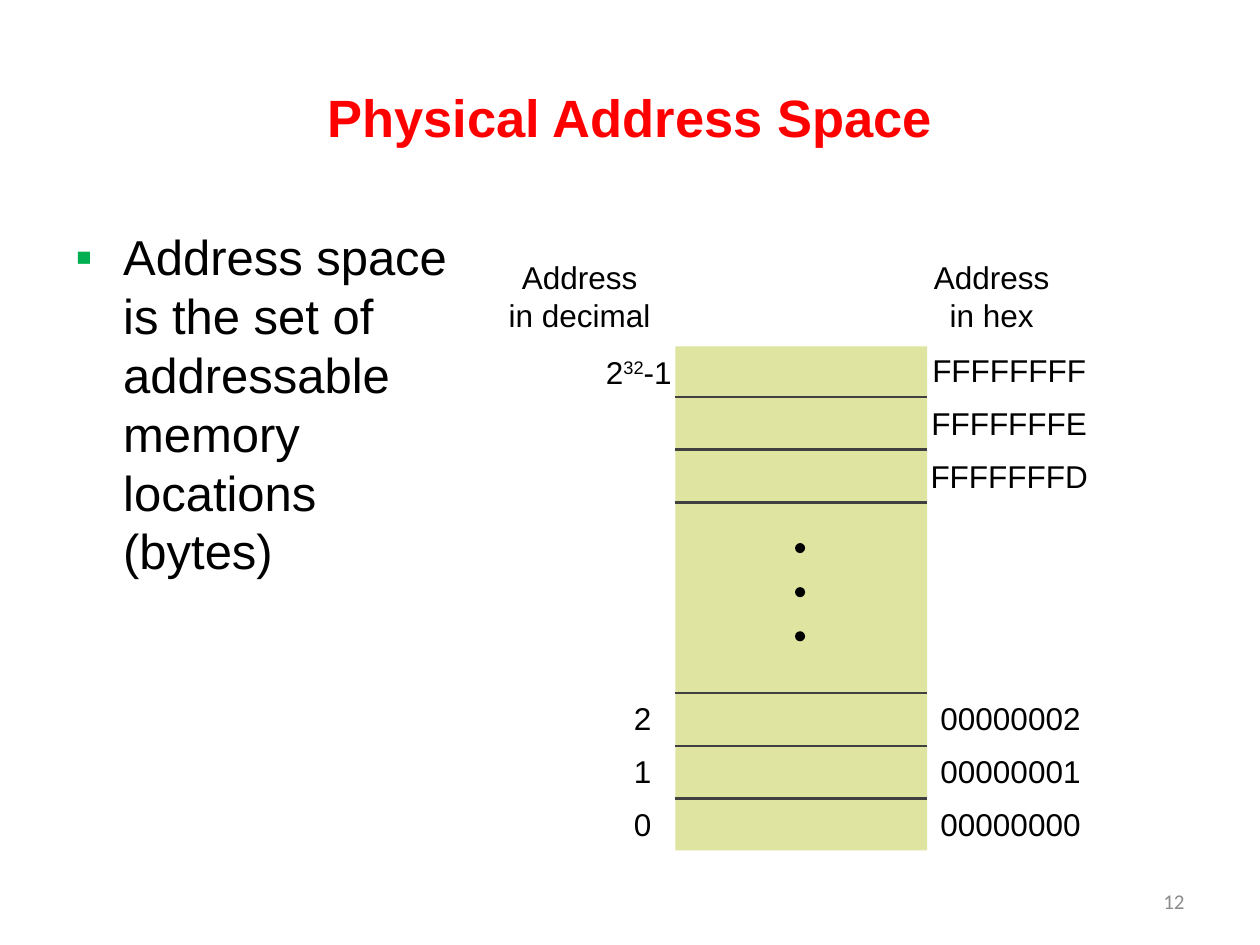
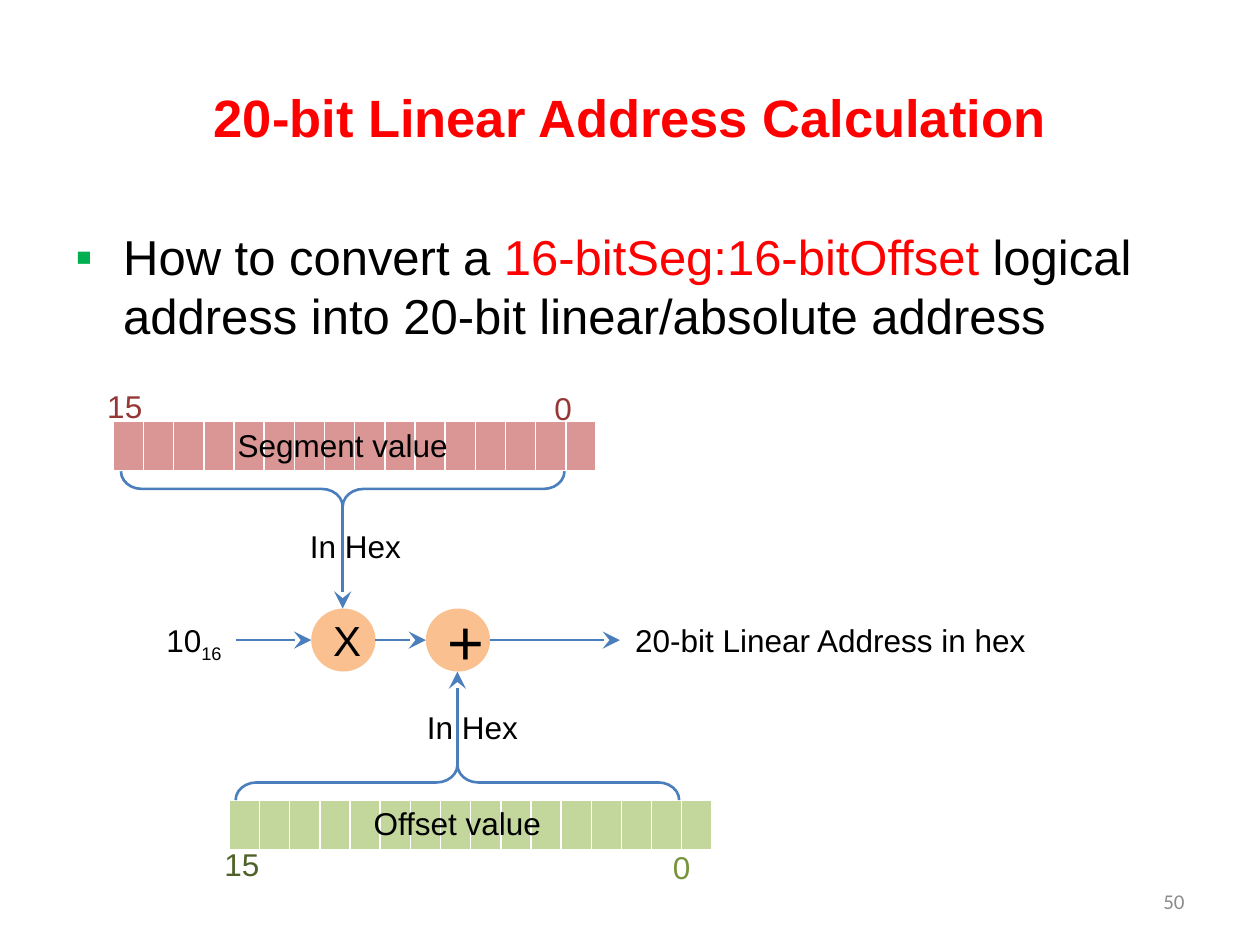
from collections import namedtuple

from lxml.etree import SubElement
from pptx import Presentation
from pptx.dml.color import RGBColor
from pptx.enum.shapes import MSO_CONNECTOR, MSO_SHAPE as SHAPE
from pptx.enum.text import MSO_ANCHOR as ANCHOR, MSO_AUTO_SIZE as AUTO, PP_ALIGN as ALIGN
from pptx.oxml.ns import qn
from pptx.util import Inches, Pt

# Shared colours and measures
WIDTH, HEIGHT = 10, 7.5
MARGIN = 0.05 * WIDTH
BLACK = RGBColor(0x00, 0x00, 0x00)
WHITE = RGBColor(0xFF, 0xFF, 0xFF)
RED = RGBColor(0xFF, 0x00, 0x00)
BULLET_GREEN = RGBColor(0x00, 0xB0, 0x50)
GREY = RGBColor(0x8C, 0x8C, 0x8C)
MEMORY_FILL = RGBColor(0xDF, 0xE4, 0xA0)
CELL_LINE = RGBColor(0x40, 0x40, 0x40)
BLUE = RGBColor(0x4B, 0x7E, 0xBC)
PEACH = RGBColor(0xFA, 0xC0, 0x90)
ROSE = RGBColor(0xD9, 0x96, 0x94)
DARK_ROSE = RGBColor(0x95, 0x37, 0x35)
OLIVE = RGBColor(0xC3, 0xD6, 0x9B)
MID_OLIVE = RGBColor(0x77, 0x93, 0x3C)
DARK_OLIVE = RGBColor(0x4F, 0x62, 0x28)

Run = namedtuple("Run", "text color baseline", defaults=(BLACK, 0))

# Slide 1 content
SPACE = {
    "title": "Physical Address Space",
    "number": "12",
    "body": [Run("Address space is the set of addressable memory locations (bytes)")],
    "body_size": (3.17, 4.95),
}
HEADINGS = [  # centre, width, lines
    (4.6, 1.34, ["Address", "in decimal"]),
    (7.87, 1.14, ["Address", "in hex"]),
]
TOP_HEX = ["FFFFFFFF", "FFFFFFFE", "FFFFFFFD"]
BOTTOM_HEX = ["00000002", "00000001", "00000000"]
BOTTOM_DECIMAL = ["2", "1", "0"]
LAST_DECIMAL = [Run("2"), Run("32", baseline=30), Run("-1")]

# Slide 2 content
LINEAR = {
    "title": "20-bit Linear Address Calculation",
    "number": "50",
    "body": [
        Run("How to convert a "),
        Run("16-bitSeg:16-bitOffset", RED),
        Run(" logical address into 20-bit linear/absolute address"),
    ],
    "body_size": (9, 1.08),
}
BITS = 16
REGISTERS = [  # left, top, fill
    (0.9, 3.34, ROSE),
    (1.82, 6.35, OLIVE),
]
OPERATORS = [("X", 2.72, 24), ("+", 3.63, 36)]  # sign, centre, size
BRACES = [(2.72, 3.88, 270), (3.63, 6.21, 90)]  # centre x, centre y, turn
AXIS = 5.08
ARROWS = [
    (2.72, 4.02, 2.72, 4.83),
    (3.63, 6.07, 3.63, 5.33),
    (1.87, AXIS, 2.47, AXIS),
    (2.98, AXIS, 3.38, AXIS),
    (3.89, AXIS, 4.92, AXIS),
]
LINEAR_LABELS = [  # centre, top, width, runs
    (2.72, 3.33, 1.88, [Run("Segment value")]),
    (3.63, 6.33, 1.54, [Run("Offset value")]),
    (0.99, 3.02, 0.48, [Run("15", DARK_ROSE)]),
    (4.47, 3.04, 0.34, [Run("0", DARK_ROSE)]),
    (1.92, 6.66, 0.48, [Run("15", DARK_OLIVE)]),
    (5.41, 6.68, 0.34, [Run("0", MID_OLIVE)]),
    (1.54, 4.88, 0.67, [Run("10"), Run("16", baseline=-25)]),
    (6.59, 4.88, 3.33, [Run("20-bit Linear Address in hex")]),
    (2.82, 4.13, 0.93, [Run("In Hex")]),
    (3.75, 5.57, 0.93, [Run("In Hex")]),
]


# Text helpers
def fill_para(para, runs, size, align=ALIGN.CENTER, font="Arial", bold=False):
    para.alignment = align
    for run in runs:
        span = para.add_run()
        span.text = run.text
        span.font.name, span.font.size, span.font.bold = font, Pt(size), bold
        span.font.color.rgb = run.color
        if run.baseline:
            span._r.get_or_add_rPr().set("baseline", str(run.baseline * 1000))


def add_box(page, left, top, width, height, anchor=ANCHOR.TOP):
    box = page.shapes.add_textbox(*map(Inches, (left, top, width, height)))
    box.text_frame.word_wrap = True
    box.text_frame.vertical_anchor = anchor
    return box.text_frame


def add_label(page, center, top, width, *lines):
    frame = add_box(page, center - width / 2, top, width, 0.1 + 0.3 * len(lines))
    frame.word_wrap = False
    frame.auto_size = AUTO.SHAPE_TO_FIT_TEXT
    for index, runs in enumerate(lines):
        para = frame.add_paragraph() if index else frame.paragraphs[0]
        fill_para(para, runs, 18)


def add_bullet(para):
    props = para._p.get_or_add_pPr()
    props.set("marL", str(Inches(0.38)))
    props.set("indent", str(-Inches(0.38)))
    before = SubElement(props, qn("a:spcBef"))
    SubElement(before, qn("a:spcPct"), val="20000")
    color = SubElement(props, qn("a:buClr"))
    SubElement(color, qn("a:srgbClr"), val=str(BULLET_GREEN))
    SubElement(props, qn("a:buFont"), typeface="Arial")
    SubElement(props, qn("a:buChar"), char="▪")


# Shape helpers
def add_shape(page, kind, left, top, width, height, fill=None, line=None):
    shape = page.shapes.add_shape(kind, *map(Inches, (left, top, width, height)))
    shape.shadow.inherit = False
    if fill is None:
        shape.fill.background()
    else:
        shape.fill.solid()
        shape.fill.fore_color.rgb = fill
    if line is None:
        shape.line.fill.background()
    else:
        shape.line.color.rgb = line
        shape.line.width = Pt(1.5)
    return shape


def add_line(page, ends, color, arrow=False):
    line = page.shapes.add_connector(MSO_CONNECTOR.STRAIGHT, *map(Inches, ends))
    line.line.color.rgb = color
    line.line.width = Pt(1.5)
    if arrow:
        SubElement(line.line._get_or_add_ln(), qn("a:tailEnd"),
                   type="stealth", w="lg", len="lg")
    SubElement(line._element.spPr, qn("a:effectLst"))


def add_register(page, left, top, fill):
    size = map(Inches, (left, top, 3.64, 0.41))
    table = page.shapes.add_table(1, BITS, *size).table
    for column in table.columns:
        column.width = Inches(3.64 / BITS)
    for cell in table.iter_cells():
        props = cell._tc.get_or_add_tcPr()
        for side, points in zip("LRTB", (1, 1, 1, 3)):
            border = SubElement(props, qn(f"a:ln{side}"), w=str(Pt(points)))
            solid = SubElement(border, qn("a:solidFill"))
            SubElement(solid, qn("a:srgbClr"), val=str(WHITE))
        cell.fill.solid()
        cell.fill.fore_color.rgb = fill


# Title, bullet text and number that every slide has
def add_page(deck, content):
    page = deck.slides.add_slide(deck.slide_layouts[6])
    title = add_box(page, MARGIN, 0.3, WIDTH - 2 * MARGIN, 1.25, ANCHOR.MIDDLE)
    fill_para(title.paragraphs[0], [Run(content["title"], RED)], 30, bold=True)
    body = add_box(page, MARGIN, 1.75, *content["body_size"])
    add_bullet(body.paragraphs[0])
    fill_para(body.paragraphs[0], content["body"], 28, ALIGN.LEFT)
    number = add_box(page, WIDTH - MARGIN - 2.33, 6.95, 2.33, 0.4, ANCHOR.MIDDLE)
    fill_para(number.paragraphs[0], [Run(content["number"], GREY)], 12,
              ALIGN.RIGHT, "Calibri")
    return page


def build_space(deck):
    page = add_page(deck, SPACE)
    left, width, cell = 5.36, 2, 0.42
    add_shape(page, SHAPE.RECTANGLE, left, 2.75, width, 4, MEMORY_FILL)
    for center, label_width, lines in HEADINGS:
        add_label(page, center, 2, label_width, *[[Run(line)] for line in lines])

    # Cells at both ends of memory, with their addresses
    for index in range(3):
        step = index * cell
        for y in (3.15 + step, 5.5 + step):
            add_line(page, (left, y, left + width, y), CELL_LINE)
        add_label(page, 8.01, 2.74 + step, 1.45, [Run(TOP_HEX[index])])
        add_label(page, 8.02, 5.5 + step, 1.32, [Run(BOTTOM_HEX[index])])
        add_label(page, 5.1, 5.5 + step, 0.34, [Run(BOTTOM_DECIMAL[index])])
        add_shape(page, SHAPE.OVAL, 6.31, 4.31 + 0.35 * index, 0.08, 0.08, BLACK)
    add_label(page, 5.07, 2.75, 0.75, LAST_DECIMAL)


def build_linear(deck):
    page = add_page(deck, LINEAR)
    for register in REGISTERS:
        add_register(page, *register)
    for x, y, turn in BRACES:
        brace = add_shape(page, SHAPE.LEFT_BRACE, x - 0.14, y - 1.76, 0.28, 3.52, line=BLUE)
        brace.adjustments[0] = 0.59
        brace.rotation = turn
    for sign, center, size in OPERATORS:
        circle = add_shape(page, SHAPE.OVAL, center - 0.25, AXIS - 0.25, 0.51, 0.5, PEACH)
        circle.text_frame.vertical_anchor = ANCHOR.MIDDLE
        fill_para(circle.text_frame.paragraphs[0], [Run(sign)], size)
    for ends in ARROWS:
        add_line(page, ends, BLUE, arrow=True)
    for center, top, width, runs in LINEAR_LABELS:
        add_label(page, center, top, width, runs)


def main():
    deck = Presentation()
    deck.slide_width, deck.slide_height = Inches(WIDTH), Inches(HEIGHT)
    build_space(deck)
    build_linear(deck)
    deck.save("out.pptx")


if __name__ == "__main__":
    main()
